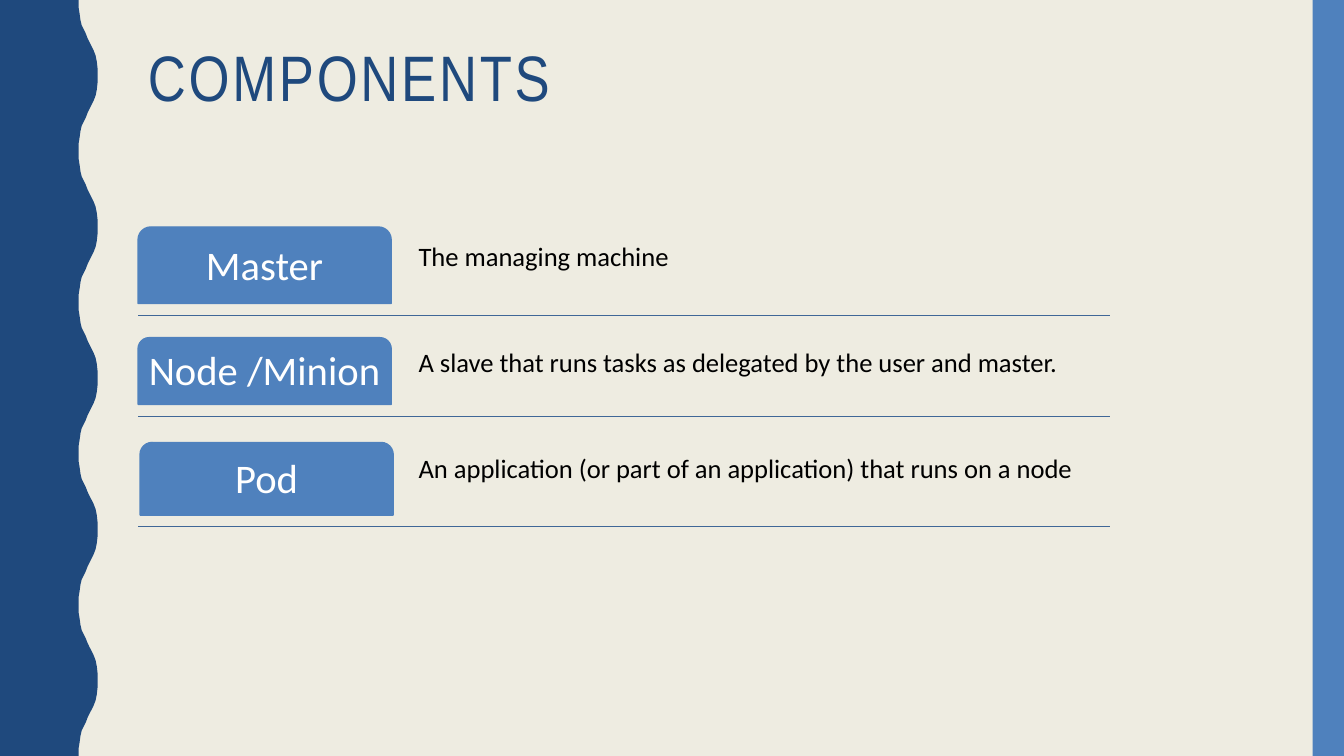
from dataclasses import dataclass

from lxml.etree import SubElement
from pptx import Presentation
from pptx.dml.color import RGBColor as Rgb
from pptx.enum.shapes import MSO_CONNECTOR as Connector, MSO_SHAPE as Preset
from pptx.enum.text import MSO_ANCHOR as Anchor, PP_ALIGN as Align
from pptx.oxml.ns import qn
from pptx.util import Cm, Pt


@dataclass(frozen=True)
class Theme:
    paper: Rgb = Rgb(0xEE, 0xEC, 0xE1)
    navy: Rgb = Rgb(0x1F, 0x49, 0x7D)
    blue: Rgb = Rgb(0x4F, 0x81, 0xBD)
    rule: Rgb = Rgb(0x3F, 0x67, 0x97)
    white: Rgb = Rgb(0xFF, 0xFF, 0xFF)
    black: Rgb = Rgb(0, 0, 0)
    title_font: str = "Arial Narrow"
    body_font: str = "Calibri"
    title_size: float = 45.9
    label_size: float = 29
    body_size: float = 19


THEME = Theme()
PAGE_WIDTH, PAGE_HEIGHT = 33.87, 19.05

# Half a wave of the left border, as (x, y) in cm
WAVE_COUNT = 5
WAVE_LENGTH = PAGE_HEIGHT / WAVE_COUNT
HALF_WAVE = [
    (1.98, 0), (1.98, 0.18), (2.01, 0.36), (2.03, 0.51), (2.06, 0.64),
    (2.11, 0.74), (2.16, 0.84), (2.21, 0.97), (2.26, 1.07), (2.31, 1.17),
    (2.36, 1.27), (2.41, 1.4), (2.44, 1.55), (2.46, 1.73), (2.46, 1.9),
]

# Component, description, tab left, tab top, tab height, rule position
COMPONENTS = [
    ("Master", "The managing machine", 3.48, 5.72, 1.93, 7.95),
    ("Node /Minion",
     "A slave that runs tasks as delegated by the user and master.",
     3.48, 8.51, 1.68, 10.49),
    ("Pod", "An application (or part of an application) that runs on a node",
     3.53, 11.15, 1.83, 13.26),
]
TAB_WIDTH = 6.38
RULE_LEFT, RULE_RIGHT = 3.48, 27.97
TEXT_LEFT, TEXT_TOP, TEXT_STEP, TEXT_HEIGHT = 9.86, 5.41, 2.67, 2.54


def paint(shape, fill, line=None):
    shape.shadow.inherit = False
    shape.fill.solid()
    shape.fill.fore_color.rgb = fill
    if line is None:
        shape.line.fill.background()
    else:
        shape.line.color.rgb = line
        shape.line.width = Pt(1)


def write(shape, text, font, size, color, insets, align=Align.LEFT):
    """Fill a shape with one paragraph; insets are left, top, right, bottom."""
    frame = shape.text_frame
    frame.word_wrap = True
    frame.vertical_anchor = Anchor.MIDDLE
    (frame.margin_left, frame.margin_top,
     frame.margin_right, frame.margin_bottom) = map(Cm, insets)
    para = frame.paragraphs[0]
    para.text = text
    para.alignment = align
    para.line_spacing = 0.9
    para.font.name = font
    para.font.size = Pt(size)
    para.font.color.rgb = color
    return para


def add_text(page, left, top, width, height, *style):
    box = page.shapes.add_textbox(Cm(left), Cm(top), Cm(width), Cm(height))
    return write(box, *style)


def add_wavy_border(page):
    wave = HALF_WAVE + [(x, WAVE_LENGTH - y) for x, y in HALF_WAVE[::-1]]
    edge = [(x, y + turn * WAVE_LENGTH)
            for turn in range(WAVE_COUNT) for x, y in wave]
    outline = [(Cm(x), Cm(y)) for x, y in edge + [(0, PAGE_HEIGHT)]]
    builder = page.shapes.build_freeform(0, 0)
    builder.add_line_segments(outline, close=True)
    paint(builder.convert_to_shape(), THEME.navy)


def add_side_bar(page):
    width = 0.79
    bar = page.shapes.add_shape(Preset.RECTANGLE, Cm(PAGE_WIDTH - width), 0,
                                Cm(width), Cm(PAGE_HEIGHT))
    paint(bar, THEME.blue)


def add_title(page, text):
    para = add_text(page, 3.48, 1.07, 28.27, 1.93, text, THEME.title_font,
                    THEME.title_size, THEME.navy, (0.25, 0.13, 0.25, 0.13))
    # Letter spacing, in hundredths of a point
    para.runs[0].font._element.set("spc", "200")


def add_rule(page, y):
    rule = page.shapes.add_connector(Connector.STRAIGHT, Cm(RULE_LEFT), Cm(y),
                                     Cm(RULE_RIGHT), Cm(y))
    rule.line.color.rgb = THEME.rule
    rule.line.width = Pt(1)
    SubElement(rule._element.spPr, qn("a:effectLst"))


def add_tab(page, label, left, top, height):
    tab = page.shapes.add_shape(Preset.ROUND_2_SAME_RECTANGLE, Cm(left),
                                Cm(top), Cm(TAB_WIDTH), Cm(height))
    tab.adjustments[0] = 0.167
    paint(tab, THEME.blue, THEME.blue)
    write(tab, label, THEME.body_font, THEME.label_size, THEME.white,
          (0.15, 0.15, 0.15, 0.15), Align.CENTER)


def add_component(page, index, component):
    label, description, left, top, height, rule_y = component
    add_rule(page, rule_y)
    add_text(page, TEXT_LEFT, TEXT_TOP + index * TEXT_STEP,
             RULE_RIGHT - TEXT_LEFT, TEXT_HEIGHT, description,
             THEME.body_font, THEME.body_size, THEME.black,
             (0.69, 0.1, 0.1, 0.46))
    add_tab(page, label, left, top, height)


def main():
    deck = Presentation()
    deck.slide_width, deck.slide_height = Cm(PAGE_WIDTH), Cm(PAGE_HEIGHT)
    page = deck.slides.add_slide(deck.slide_layouts[6])

    # Background and borders
    page.background.fill.solid()
    page.background.fill.fore_color.rgb = THEME.paper
    add_wavy_border(page)
    add_side_bar(page)

    # Title and component list
    add_title(page, "COMPONENTS")
    for index, component in enumerate(COMPONENTS):
        add_component(page, index, component)

    deck.save("out.pptx")


main()
